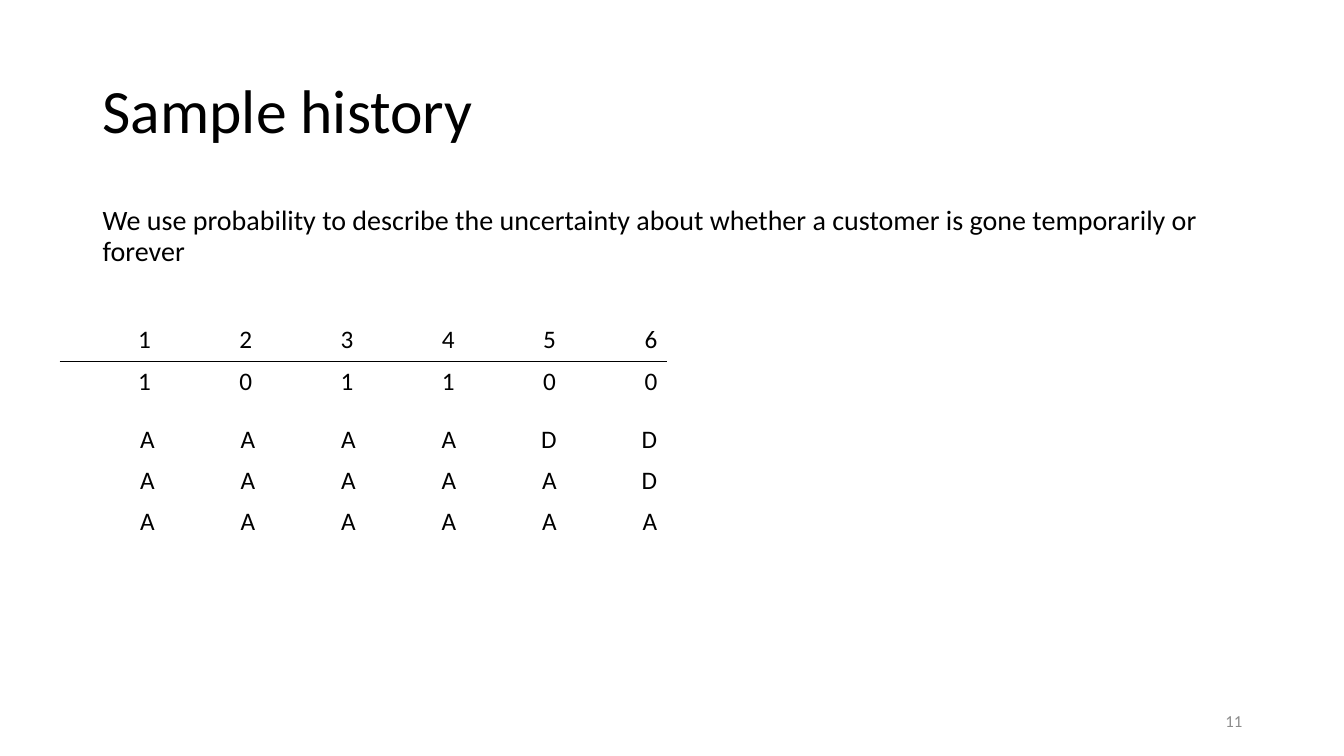
from dataclasses import dataclass

from lxml import etree
from pptx import Presentation
from pptx.dml.color import RGBColor
from pptx.enum.text import MSO_ANCHOR, PP_ALIGN
from pptx.oxml.ns import qn
from pptx.slide import Slide
from pptx.table import _Cell
from pptx.text.text import _Paragraph
from pptx.util import Inches, Pt

LEFT, RIGHT = PP_ALIGN.LEFT, PP_ALIGN.RIGHT
TOP, MIDDLE = MSO_ANCHOR.TOP, MSO_ANCHOR.MIDDLE

WIDTH, HEIGHT = Inches(13.33), Inches(7.5)
COL, ROW = WIDTH / 100, HEIGHT / 100  # the grid is 100 by 100
FONT, BLACK, GRAY = "Calibri", "000000", "8C8C8C"
NO_STYLE_NO_GRID = "{2D5ABB26-0587-4C30-8999-92F81FD0307C}"


@dataclass(frozen=True)
class Box:
    """A place on the grid, in columns and rows."""
    left: float
    top: float
    width: float
    height: float

    def emu(self) -> tuple[int, int, int, int]:
        return (round(self.left * COL), round(self.top * ROW),
                round(self.width * COL), round(self.height * ROW))


@dataclass(frozen=True)
class Label:
    text: str
    box: Box
    size: int
    color: str = BLACK
    anchor: MSO_ANCHOR = MIDDLE
    align: PP_ALIGN = LEFT
    line_spacing: float = 0.9
    space_before: int = 0


@dataclass(frozen=True)
class Grid:
    """Table rows with one character per cell; a space is an empty cell."""
    rows: tuple[str, ...]
    box: Box
    ruled_header: bool = False


LABELS = (
    Label("Sample history", Box(6.9, 5.33, 86.27, 19.33), 44),
    Label("We use probability to describe the uncertainty about whether "
          "a customer is gone temporarily or forever",
          Box(6.9, 26.67, 86.27, 63.47), 20, anchor=TOP, space_before=10),
    Label("11", Box(70.67, 92.67, 22.5, 5.33), 12, GRAY, align=RIGHT,
          line_spacing=1.0),
)
GRIDS = (
    Grid(("123456", "101100"), Box(4.43, 42.27, 45.24, 11.07), True),
    Grid((" AAAADD", " AAAAAD", " AAAAAA"), Box(-2.7, 55.47, 52.36, 16.27)),
)


def rgb(color: str) -> RGBColor:
    return RGBColor.from_string(color)


def write(p: _Paragraph, text: str, size: int, color: str) -> None:
    r = p.add_run()
    r.text = text
    for name, value in {"name": FONT, "size": Pt(size)}.items():
        setattr(r.font, name, value)
    r.font.color.rgb = rgb(color)


def add_label(s: Slide, label: Label) -> None:
    tf = s.shapes.add_textbox(*label.box.emu()).text_frame
    tf.word_wrap = True
    tf.vertical_anchor = label.anchor
    p = tf.paragraphs[0]
    layout = {"alignment": label.align, "line_spacing": label.line_spacing,
              "space_before": Pt(label.space_before)}
    for name, value in layout.items():
        setattr(p, name, value)
    write(p, label.text, label.size, label.color)


def rule(cell: _Cell, side: str, color: str = BLACK) -> None:
    """Draw a 1 pt border on one side, ahead of the cell's fill."""
    ln = etree.Element(qn(f"a:{side}"), w=str(Pt(1)))
    fill = etree.SubElement(ln, qn("a:solidFill"))
    etree.SubElement(fill, qn("a:srgbClr"), val=color)
    cell._tc.get_or_add_tcPr().insert(0, ln)


def add_grid(s: Slide, grid: Grid) -> None:
    n_rows, n_cols = len(grid.rows), len(grid.rows[0])
    frame = s.shapes.add_table(n_rows, n_cols, *grid.box.emu())
    table = frame.table
    table.first_row = table.horz_banding = False
    next(frame._element.iter(qn("a:tableStyleId"))).text = NO_STYLE_NO_GRID
    for i, row in enumerate(grid.rows):
        for j, value in enumerate(row):
            cell = table.cell(i, j)
            cell.fill.background()
            if grid.ruled_header and i < 2:
                rule(cell, "lnT" if i else "lnB")
            if value.strip():
                p = cell.text_frame.paragraphs[0]
                p.alignment = RIGHT
                write(p, value, 18, BLACK)


def main() -> None:
    prs = Presentation()
    prs.slide_width, prs.slide_height = WIDTH, HEIGHT
    s = prs.slides.add_slide(prs.slide_layouts[6])
    for label in LABELS:
        add_label(s, label)
    for grid in GRIDS:
        add_grid(s, grid)
    prs.save("out.pptx")


if __name__ == "__main__":
    main()
